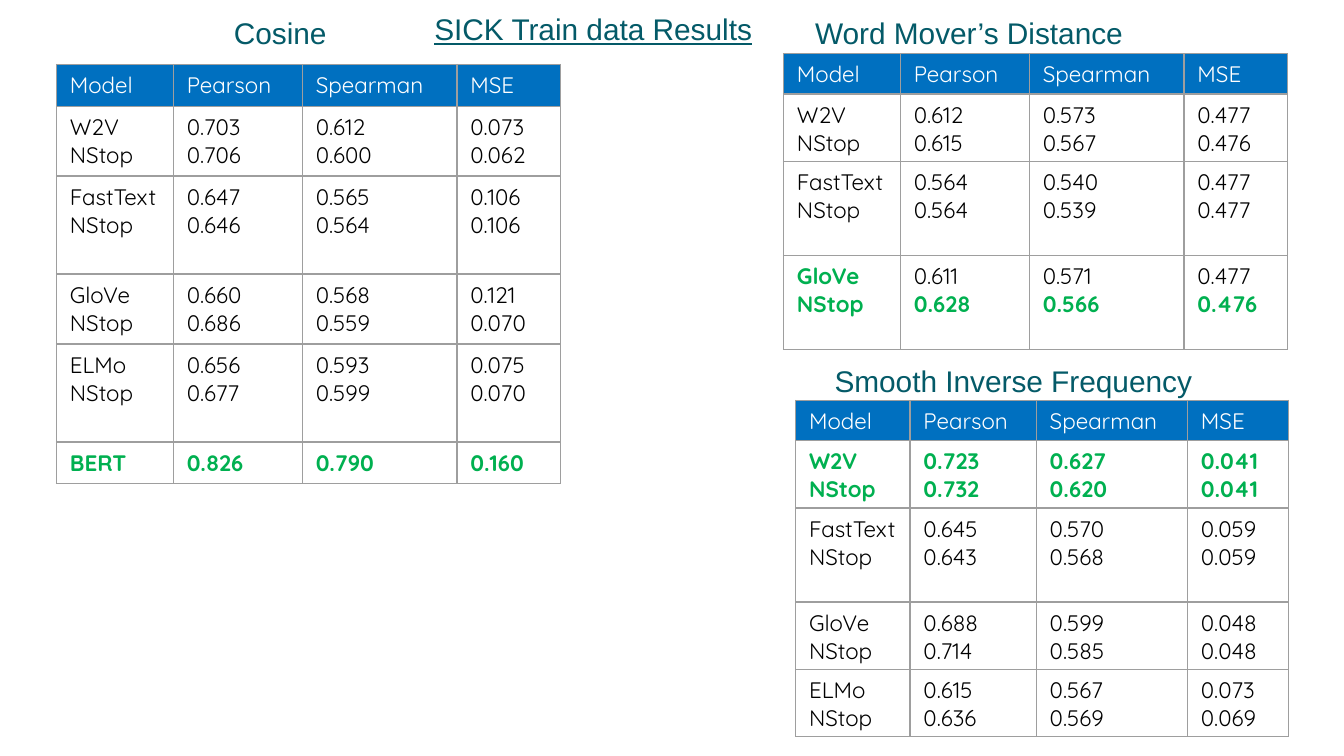
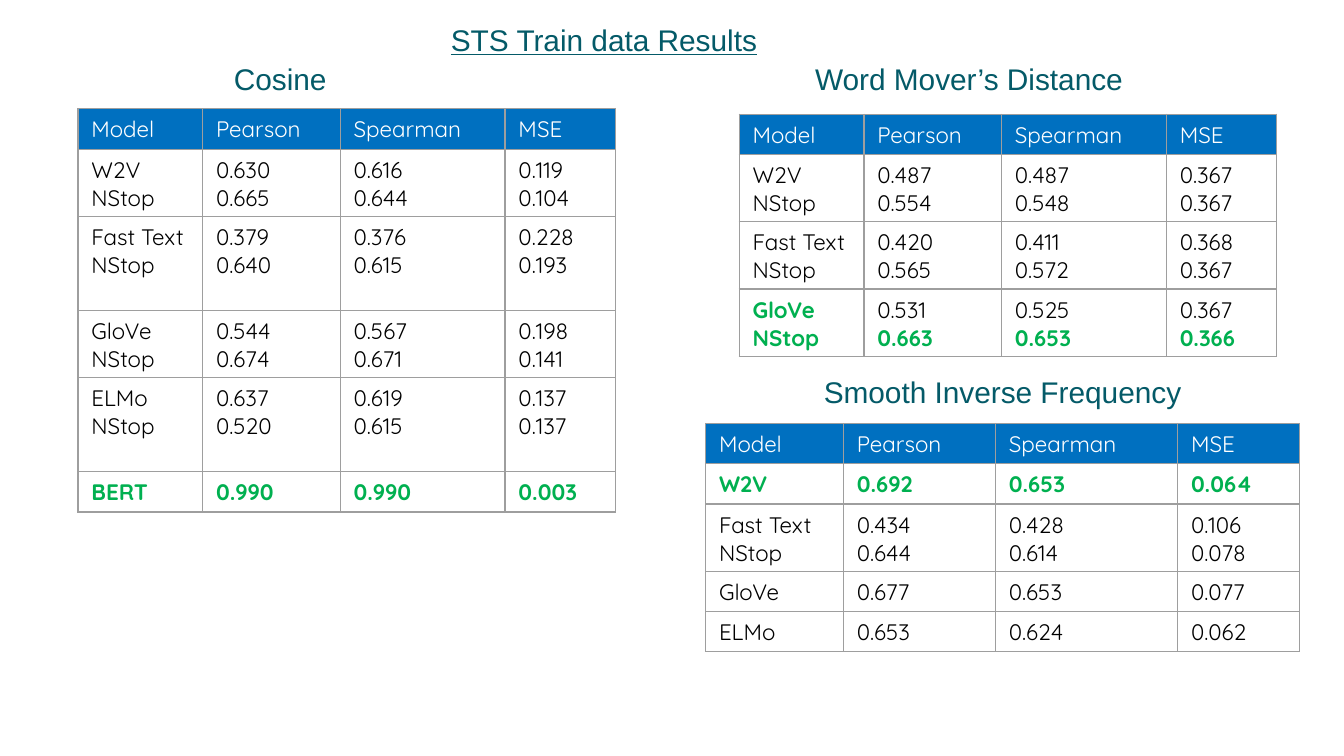
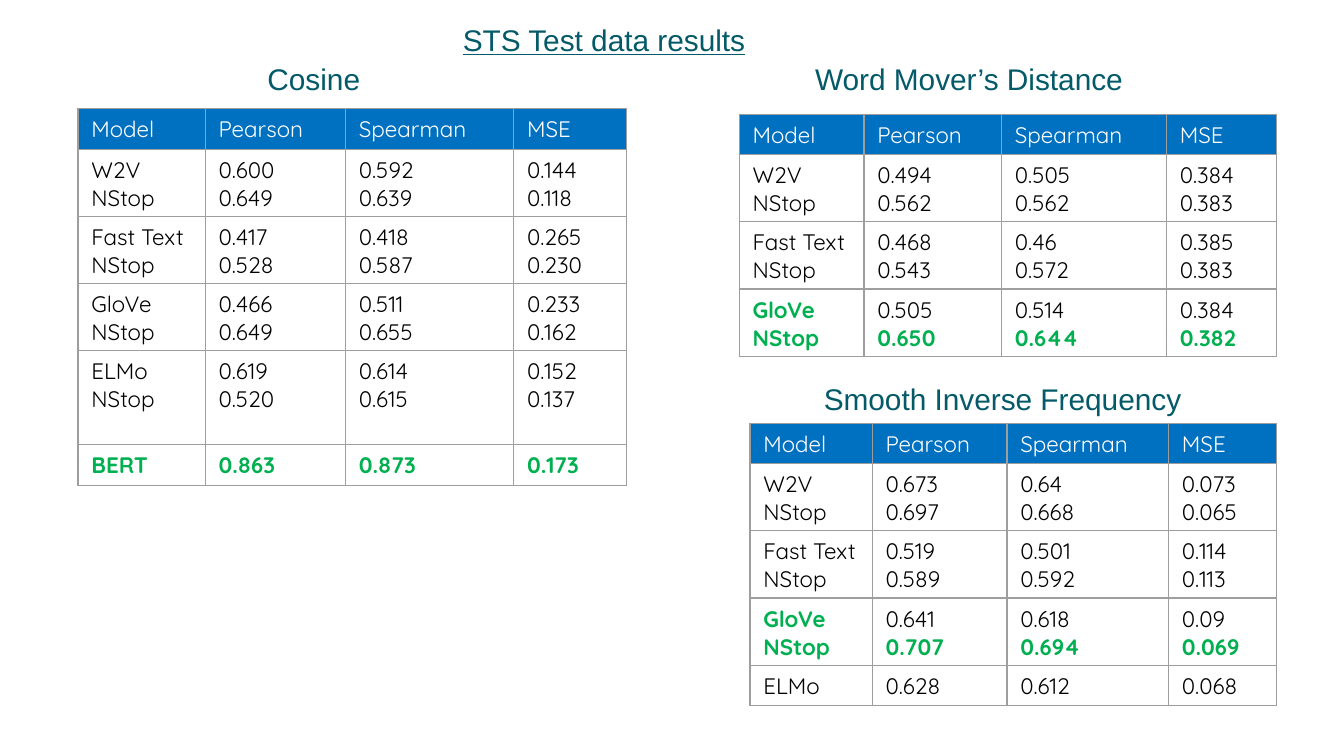
from dataclasses import dataclass

import lxml.etree
import pptx
import pptx.dml.color
import pptx.enum.text
import pptx.oxml.ns
import pptx.util

Inches = pptx.util.Inches
Pt = pptx.util.Pt


@dataclass(frozen=True)
class Theme:
    heading_font: str = "Arial"
    table_font: str = "Quicksand"
    heading_size: int = 16
    table_size: int = 12
    heading: str = "045A68"
    header_fill: str = "0070C0"
    header_text: str = "FFFFFF"
    body: str = "000000"
    best: str = "00B050"
    border: str = "9E9E9E"
    border_width: float = 0.75


@dataclass(frozen=True)
class Result:
    """Scores of one model; best is "", "all" or "nstop" (the second line)."""
    model: str
    pearson: str
    spearman: str
    mse: str
    best: str = ""
    spare_lines: int = 0

    def cells(self):
        return [text.split("/") for text in
                (self.model, self.pearson, self.spearman, self.mse)]

    def is_best(self, column, line):
        return self.best == "all" or (
            self.best == "nstop" and (column == 0 or line == 1))


@dataclass(frozen=True)
class Panel:
    heading: str
    heading_box: tuple  # left, top, width
    table_box: tuple  # left, top, width
    results: list
    line_height: float = 0.2


THEME = Theme()
COLUMNS = ("Model", "Pearson", "Spearman", "MSE")
COLUMN_SHARES = (0.23, 0.26, 0.31, 0.2)
COLUMN_SHARES = tuple(part / 3.75 for part in (0.87, 0.96, 1.15, 0.77))
HEADING_HEIGHT = 0.37
ROW_PADDING = 0.1
COSINE, WMD, SIF = "Cosine", "Word Mover’s Distance", "Smooth Inverse Frequency"

SLIDES = [
    ("SICK Train data Results", (3, 0.03, 2.83), [
        Panel(COSINE, (0.67, 0.06, 2.83), (0.42, 0.48, 3.75), [
            Result("W2V/NStop", "0.703/0.706", "0.612/0.600", "0.073/0.062"),
            Result("FastText/NStop", "0.647/0.646", "0.565/0.564", "0.106/0.106", spare_lines=1),
            Result("GloVe/NStop", "0.660/0.686", "0.568/0.559", "0.121/0.070"),
            Result("ELMo/NStop", "0.656/0.677", "0.593/0.599", "0.075/0.070", spare_lines=1),
            Result("BERT", "0.826", "0.790", "0.160", "all"),
        ], line_height=0.21),
        Panel(WMD, (5.5, 0.06, 3.42), (5.83, 0.4, 3.75), [
            Result("W2V/NStop", "0.612/0.615", "0.573/0.567", "0.477/0.476"),
            Result("FastText/NStop", "0.564/0.564", "0.540/0.539", "0.477/0.477", spare_lines=1),
            Result("GloVe/NStop", "0.611/0.628", "0.571/0.566", "0.477/0.476", "nstop", 1),
        ]),
        Panel(SIF, (5.83, 2.65, 3.42), (5.92, 2.98, 3.67), [
            Result("W2V/NStop", "0.723/0.732", "0.627/0.620", "0.041/0.041", "all"),
            Result("FastText/NStop", "0.645/0.643", "0.570/0.568", "0.059/0.059", spare_lines=1),
            Result("GloVe/NStop", "0.688/0.714", "0.599/0.585", "0.048/0.048"),
            Result("ELMo/NStop", "0.615/0.636", "0.567/0.569", "0.073/0.069"),
        ]),
    ]),
    ("STS Train data Results", (3.08, 0.11, 2.83), [
        Panel(COSINE, (0.67, 0.4, 2.83), (0.58, 0.81, 4), [
            Result("W2V/NStop", "0.630/0.665", "0.616/0.644", "0.119/0.104"),
            Result("Fast Text/NStop", "0.379/0.640", "0.376/0.615", "0.228/0.193", spare_lines=1),
            Result("GloVe/NStop", "0.544/0.674", "0.567/0.671", "0.198/0.141"),
            Result("ELMo/NStop", "0.637/0.520", "0.619/0.615", "0.137/0.137", spare_lines=1),
            Result("BERT", "0.990", "0.990", "0.003", "all"),
        ]),
        Panel(WMD, (5.5, 0.4, 3.42), (5.5, 0.85, 4), [
            Result("W2V/NStop", "0.487/0.554", "0.487/0.548", "0.367/0.367"),
            Result("Fast Text/NStop", "0.420/0.565", "0.411/0.572", "0.368/0.367"),
            Result("GloVe/NStop", "0.531/0.663", "0.525/0.653", "0.367/0.366", "nstop"),
        ]),
        Panel(SIF, (5.75, 2.73, 3.42), (5.25, 3.15, 4.42), [
            Result("W2V", "0.692", "0.653", "0.064", "all"),
            Result("Fast Text/NStop", "0.434/0.644", "0.428/0.614", "0.106/0.078"),
            Result("GloVe", "0.677", "0.653", "0.077"),
            Result("ELMo", "0.653", "0.624", "0.062"),
        ]),
    ]),
    ("STS Test data results", (3.08, 0.11, 2.83), [
        Panel(COSINE, (0.92, 0.4, 2.83), (0.58, 0.81, 4.08), [
            Result("W2V/NStop", "0.600/0.649", "0.592/0.639", "0.144/0.118"),
            Result("Fast Text/NStop", "0.417/0.528", "0.418/0.587", "0.265/0.230"),
            Result("GloVe/NStop", "0.466/0.649", "0.511/0.655", "0.233/0.162"),
            Result("ELMo/NStop", "0.619/0.520", "0.614/0.615", "0.152/0.137", spare_lines=1),
            Result("BERT", "0.863", "0.873", "0.173", "all"),
        ]),
        Panel(WMD, (5.5, 0.4, 3.42), (5.5, 0.85, 4), [
            Result("W2V/NStop", "0.494/0.562", "0.505/0.562", "0.384/0.383"),
            Result("Fast Text/NStop", "0.468/0.543", "0.46/0.572", "0.385/0.383"),
            Result("GloVe/NStop", "0.505/0.650", "0.514/0.644", "0.384/0.382", "nstop"),
        ]),
        Panel(SIF, (5.75, 2.78, 3.42), (5.58, 3.15, 3.92), [
            Result("W2V/NStop", "0.673/0.697", "0.64/0.668", "0.073/0.065"),
            Result("Fast Text/NStop", "0.519/0.589", "0.501/0.592", "0.114/0.113"),
            Result("GloVe/NStop", "0.641/0.707", "0.618/0.694", "0.09/0.069", "nstop"),
            Result("ELMo", "0.628", "0.612", "0.068"),
        ]),
    ]),
]
COLUMN_SHARES = tuple(share / sum(COLUMN_SHARES) for share in COLUMN_SHARES)


def rgb(value):
    return pptx.dml.color.RGBColor.from_string(value)


def style_font(paragraph, name, size, color, bold=False, underline=None):
    font = paragraph.font
    font.name, font.size = name, Pt(size)
    font.bold, font.underline = bold, underline
    font.color.rgb = rgb(color)


def add_heading(slide, text, box, underline=None):
    left, top, width = box
    heading = slide.shapes.add_textbox(
        Inches(left), Inches(top), Inches(width), Inches(HEADING_HEIGHT))
    frame = heading.text_frame
    frame.word_wrap = True
    frame.auto_size = pptx.enum.text.MSO_AUTO_SIZE.SHAPE_TO_FIT_TEXT
    paragraph = frame.paragraphs[0]
    paragraph.text = text
    paragraph.alignment = pptx.enum.text.PP_ALIGN.CENTER
    style_font(paragraph, THEME.heading_font, THEME.heading_size,
               THEME.heading, underline=underline)


def add_borders(cell):
    properties = cell._tc.get_or_add_tcPr()
    qn = pptx.oxml.ns.qn
    for side in ("a:lnL", "a:lnR", "a:lnT", "a:lnB"):
        line = lxml.etree.SubElement(
            properties, qn(side), w=str(Pt(THEME.border_width)))
        fill = lxml.etree.SubElement(line, qn("a:solidFill"))
        lxml.etree.SubElement(fill, qn("a:srgbClr"), val=THEME.border)


def fill_cell(cell, lines, colors, fill=None):
    """Write one paragraph per line; lines in the best colour are bold."""
    cell.margin_bottom = Inches(0.03)
    add_borders(cell)
    if fill:
        cell.fill.solid()
        cell.fill.fore_color.rgb = rgb(fill)
    else:
        cell.fill.background()
    cell.text_frame.text = "\n".join(lines)
    for paragraph, color in zip(cell.text_frame.paragraphs, colors):
        style_font(paragraph, THEME.table_font, THEME.table_size, color,
                   bold=color == THEME.best)


def add_results_table(slide, panel):
    left, top, width = panel.table_box
    line_counts = [1] + [len(result.cells()[0]) + result.spare_lines
                         for result in panel.results]
    heights = [ROW_PADDING + panel.line_height * count for count in line_counts]
    table = slide.shapes.add_table(
        len(heights), len(COLUMNS), Inches(left), Inches(top),
        Inches(width), Inches(sum(heights))).table
    table.horz_banding = False
    for column, share in zip(table.columns, COLUMN_SHARES):
        column.width = Inches(width * share)
    for row, height in zip(table.rows, heights):
        row.height = Inches(height)

    # Header row
    for column, name in enumerate(COLUMNS):
        fill_cell(table.cell(0, column), [name], [THEME.header_text],
                  THEME.header_fill)

    # Model rows
    for row, result in enumerate(panel.results, start=1):
        for column, lines in enumerate(result.cells()):
            colors = [THEME.best if result.is_best(column, line) else THEME.body
                      for line in range(len(lines))]
            fill_cell(table.cell(row, column), lines, colors)


def add_results_slide(deck, title, title_box, panels):
    slide = deck.slides.add_slide(deck.slide_layouts[6])
    for panel in panels:
        add_results_table(slide, panel)
        add_heading(slide, panel.heading, panel.heading_box)
    add_heading(slide, title, title_box, underline=True)


def main():
    deck = pptx.Presentation()
    deck.slide_width = Inches(10)
    deck.slide_height = Inches(10 * 9 / 16)
    for title, title_box, panels in SLIDES:
        add_results_slide(deck, title, title_box, panels)
    deck.save("out.pptx")


if __name__ == "__main__":
    main()
